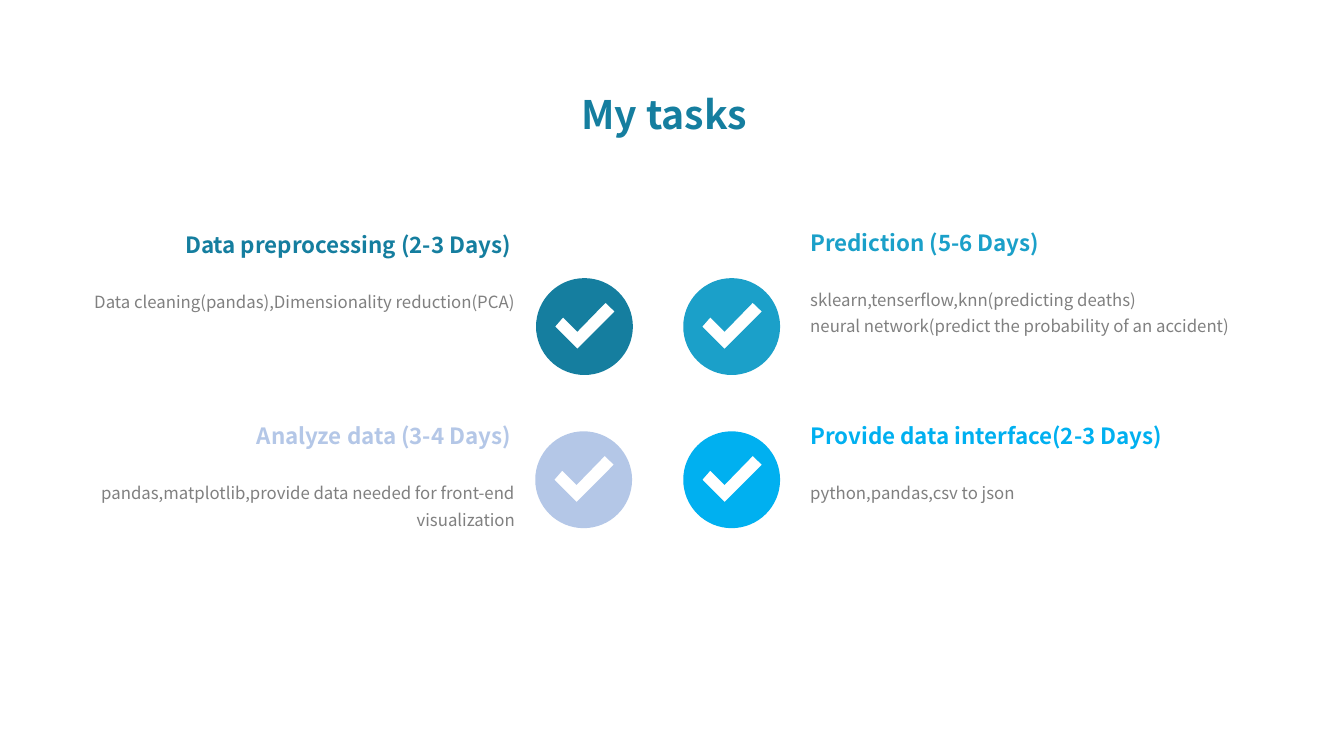
"""Build the task overview slide with four ticked items."""
from math import cos, pi, sin

from pptx import Presentation
from pptx.dml.color import RGBColor
from pptx.enum.text import MSO_ANCHOR, MSO_AUTO_SIZE, PP_ALIGN
from pptx.util import Cm, Pt

FONT = "Noto Sans CJK SC"
TITLE = "My tasks"
TEAL, GREY = "157E9F", "808080"
TASKS = [
    {"side": "left", "head": "Data preprocessing (2-3 Days)", "color": TEAL,
     "body": ["Data cleaning(pandas),Dimensionality reduction(PCA)"],
     "top": 5.69, "width": 10.75, "high": 0.91, "disc": (14.73, 8.23)},
    {"side": "right", "head": "Prediction (5-6 Days)", "color": "1BA0C9",
     "body": ["sklearn,tenserflow,knn(predicting deaths)",
              "neural network(predict the probability of an accident)"],
     "top": 5.64, "width": 8.74, "high": 1.57, "disc": (18.44, 8.23)},
    {"side": "left", "head": "Analyze data (3-4 Days)", "color": "B4C7E7",
     "body": ["pandas,matplotlib,provide data needed for front-end visualization"],
     "top": 10.52, "width": 8.74, "high": 1.57, "disc": (14.71, 12.09)},
    {"side": "right", "head": "Provide data interface(2-3 Days)", "color": "00B0F0",
     "body": ["python,pandas,csv to json"],
     "top": 10.52, "width": 10.29, "high": 0.91, "disc": (18.44, 12.09)},
]
TICK = [(-0.18, 0.56), (-0.74, 0), (-0.54, -0.23),
        (-0.18, 0.13), (0.53, -0.6), (0.76, -0.38)]
RADIUS, STEPS = 1.22, 64
BODY_WIDTH, BODY_DROP = 11.56, 1.38
HEAD_END, BODY_END, RIGHT_START = 13.13, 13.23, 20.17


def paint(text):
    return RGBColor.from_string(text)


def write(shape, lines, size, color, bold=False, align=PP_ALIGN.LEFT, space=1.0):
    frame = shape.text_frame
    frame.text = "\n".join(lines)
    frame.word_wrap = True
    frame.auto_size = MSO_AUTO_SIZE.NONE
    frame.vertical_anchor = MSO_ANCHOR.TOP
    for para in frame.paragraphs:
        para.alignment = align
        para.line_spacing = space
        for run in para.runs:
            font = run.font
            font.name, font.size, font.bold = FONT, Pt(size), bold
            font.color.rgb = paint(color)


def add_text(slide, left, top, width, height, *args, **style):
    box = slide.shapes.add_textbox(Cm(left), Cm(top), Cm(width), Cm(height))
    write(box, *args, **style)


def add_disc(slide, center, color):
    turns = [2 * pi * step / STEPS for step in range(STEPS)]
    ring = [(RADIUS * cos(turn), RADIUS * sin(turn)) for turn in turns]
    rim, tick = [[(Cm(center[0] + x), Cm(center[1] + y)) for x, y in points]
                 for points in (ring, TICK)]
    pen = slide.shapes.build_freeform(*rim[0])
    pen.add_line_segments(rim[1:], close=True)
    pen.move_to(*tick[0])
    pen.add_line_segments(tick[1:], close=True)
    disc = pen.convert_to_shape()
    disc.shadow.inherit = False
    disc.fill.solid()
    disc.fill.fore_color.rgb = paint(color)
    disc.line.fill.background()


def add_task(slide, task):
    left = task["side"] == "left"
    align = PP_ALIGN.RIGHT if left else PP_ALIGN.LEFT
    head_x = HEAD_END - task["width"] if left else RIGHT_START
    body_x = BODY_END - BODY_WIDTH if left else RIGHT_START
    add_disc(slide, task["disc"], task["color"])
    add_text(slide, body_x, task["top"] + BODY_DROP, BODY_WIDTH, task["high"],
             task["body"], 12, GREY, align=align, space=1.3)
    add_text(slide, head_x, task["top"], task["width"], 0.94,
             [task["head"]], 16, task["color"], bold=True, align=align)


def main():
    deck = Presentation()
    deck.slide_width, deck.slide_height = Cm(33.87), Cm(19.05)
    slide = deck.slides.add_slide(deck.slide_layouts[5])
    title = slide.shapes.title
    title.left, title.top, title.width, title.height = map(Cm, (14.4, 2.16, 5.05, 1.45))
    write(title, [TITLE], 28, TEAL, bold=True)
    for task in TASKS:
        add_task(slide, task)
    deck.save("out.pptx")


if __name__ == "__main__":
    main()
